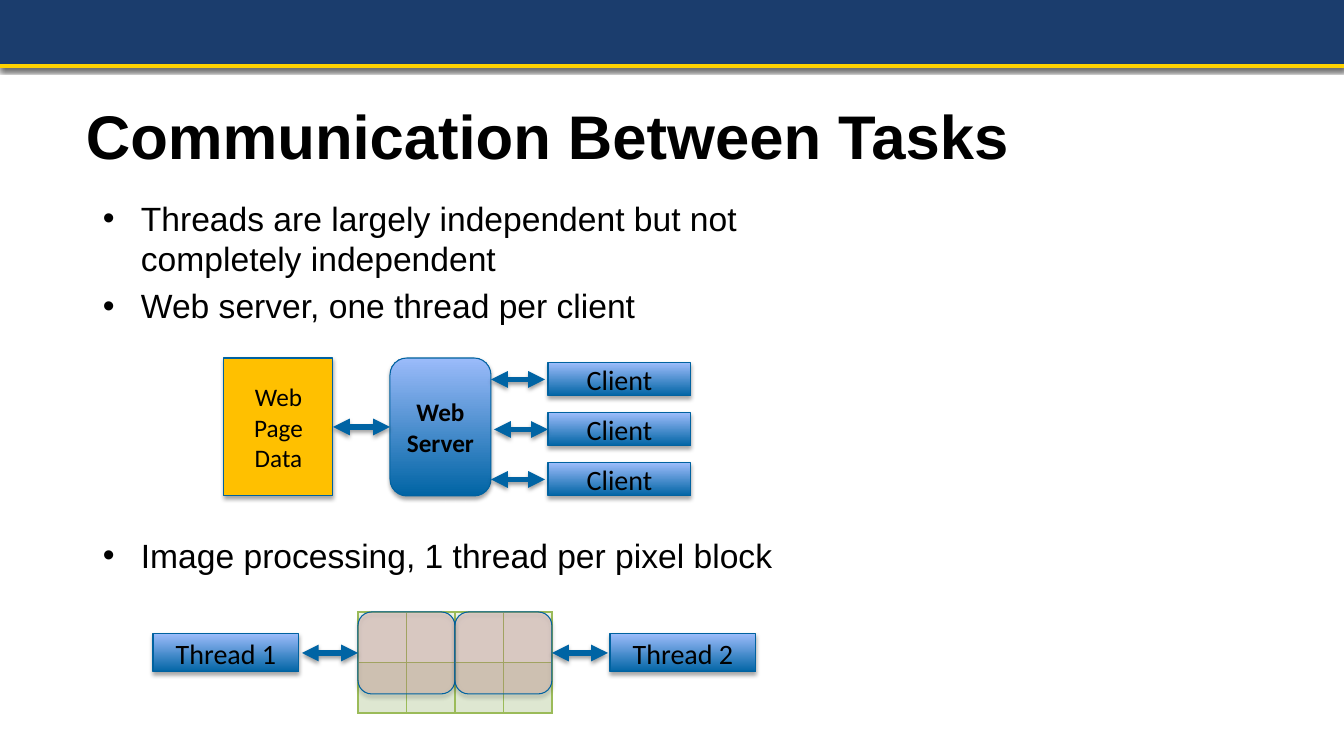
from lxml.etree import SubElement
from pptx import Presentation
from pptx.dml.color import RGBColor
from pptx.enum.shapes import MSO_CONNECTOR, MSO_SHAPE
from pptx.enum.text import MSO_ANCHOR, MSO_AUTO_SIZE, PP_ALIGN
from pptx.oxml.ns import qn
from pptx.util import Emu, Pt

EMU_PER_PX = 914400 / 100.8
NAVY, GOLD, BLUE, LIGHT_BLUE, EDGE = "1B3D6D", "FFD200", "0064A4", "9BBBFA", "0062A0"
AMBER, ROSE, GREEN, BLACK = "FFC000", "D99694", "9BBB59", "000000"
ROW_FILLS = ("EFF3EA", "DEE7D1")


def px(length):
    return Emu(round(length * EMU_PER_PX))


def color(value):
    return RGBColor.from_string(value)


def child(parent, tag, **attributes):
    return SubElement(parent, qn(tag), {key: str(val) for key, val in attributes.items()})


def add_shadow(effects, opacity):
    shadow = child(effects, "a:outerShdw", blurRad=Pt(3.1), dist=Pt(1.8),
                   dir=5400000, rotWithShape=0)
    child(child(shadow, "a:srgbClr", val=BLACK), "a:alpha", val=opacity * 1000)


def add_run(paragraph, text, size, font, bold=False):
    run = paragraph.add_run()
    run.text = text
    run.font.size, run.font.name, run.font.bold = Pt(size), font, bold
    run.font.color.rgb = color(BLACK)


def add_block(shapes, box, fill=None, text="", size=20, bold=False, rounded=False,
              opacity=100, edge=EDGE, shade=35):
    """Shadowed block; without a fill colour it gets the blue gradient."""
    kind = MSO_SHAPE.ROUNDED_RECTANGLE if rounded else MSO_SHAPE.RECTANGLE
    block = shapes.add_shape(kind, *map(px, box))
    if fill:
        block.fill.solid()
        block.fill.fore_color.rgb = color(fill)
        if opacity < 100:
            tint = block.fill._xPr.find(qn("a:solidFill"))[0]
            child(tint, "a:alpha", val=opacity * 1000)
    else:
        block.fill.gradient()
        block.fill.gradient_angle = 90
        for stop, tone in zip(block.fill.gradient_stops, (BLUE, LIGHT_BLUE)):
            stop.color.rgb = color(tone)
    if edge:
        block.line.color.rgb = color(edge)
        block.line.width = Pt(0.75)
    else:
        block.line.fill.background()
    block.shadow.inherit = False
    add_shadow(block._element.spPr.find(qn("a:effectLst")), shade)
    if text:
        frame = block.text_frame
        frame.word_wrap = True
        frame.vertical_anchor = MSO_ANCHOR.MIDDLE
        frame.paragraphs[0].alignment = PP_ALIGN.CENTER
        add_run(frame.paragraphs[0], text, size, "Calibri", bold)


def add_rule(shapes, left, right, y, tone, width, arrow=False):
    """Horizontal line, or a shadowed two-way arrow."""
    rule = shapes.add_connector(MSO_CONNECTOR.STRAIGHT, px(left), px(y), px(right), px(y))
    rule.line.color.rgb = color(tone)
    rule.line.width = Pt(width)
    effects = child(rule._element.spPr, "a:effectLst")
    if arrow:
        outline = rule.line._get_or_add_ln()
        child(outline, "a:headEnd", type="triangle")
        child(outline, "a:tailEnd", type="triangle")
        add_shadow(effects, 38)


def add_arrow(shapes, left, right, y):
    add_rule(shapes, left, right, y, BLUE, 4, arrow=True)


def text_box(shapes, box, wrap):
    frame = shapes.add_textbox(*map(px, box)).text_frame
    frame.word_wrap = wrap
    frame.auto_size = MSO_AUTO_SIZE.SHAPE_TO_FIT_TEXT
    return frame


def header(shapes, box):
    left, top, width, height = box
    add_block(shapes, box, NAVY, edge=None, shade=58)
    add_rule(shapes, left, left + width, top + height - 2, GOLD, 2.25)


def title(shapes, box, text):
    frame = text_box(shapes, box, False)
    frame.vertical_anchor = MSO_ANCHOR.MIDDLE
    add_run(frame.paragraphs[0], text, 44, "Arial", True)


def bullets(shapes, box, points, wrap=True):
    frame = text_box(shapes, box, wrap)
    for index, point in enumerate(points):
        paragraph = frame.add_paragraph() if index else frame.paragraphs[0]
        if index:
            paragraph.space_before = Pt(4.8)
        properties = paragraph._p.get_or_add_pPr()
        properties.set("marL", str(px(38)))
        properties.set("indent", str(-px(38)))
        child(properties, "a:buFont", typeface="Arial")
        child(properties, "a:buChar", char="•")
        add_run(paragraph, point, 24, "Arial")


def web_server(shapes, box):
    left, top, width, height = box
    diagram = shapes.add_group_shape().shapes
    data_width, server_left, server_width = 109, 166, 101
    client_width, client_height, pitch = 143, 33, 50
    server_right = left + server_left + server_width
    add_block(diagram, (left, top, data_width, height), AMBER, "Web Page Data", 18)
    add_block(diagram, (left + server_left, top, server_width, height),
              text="Web Server", size=18, bold=True, rounded=True)
    add_arrow(diagram, left + data_width, left + server_left, top + height / 2)
    # Clients, the middle arrow set slightly to the right
    for index, shift in enumerate((0, 3, 0)):
        client_top = top + 5 + index * pitch
        add_block(diagram, (left + width - client_width, client_top,
                            client_width, client_height), text="Client")
        add_arrow(diagram, server_right + shift, server_right + 54 + shift,
                  client_top + client_height / 2)


def pixel_grid(shapes, box):
    left, top, width, height = box
    columns, rows = 4, len(ROW_FILLS)
    grid = shapes.add_table(rows, columns, *map(px, box)).table
    for column in grid.columns:
        column.width = px(width / columns)
    for row, fill in zip(grid.rows, ROW_FILLS):
        row.height = px(height / rows)
        for cell in row.cells:
            properties = cell._tc.get_or_add_tcPr()
            for side in ("a:lnL", "a:lnR", "a:lnT", "a:lnB"):
                border = child(properties, side, w=Pt(1))
                child(child(border, "a:solidFill"), "a:srgbClr", val=GREEN)
            cell.fill.solid()
            cell.fill.fore_color.rgb = color(fill)


def image_processing(shapes, box):
    left, top, width, height = box
    label_width, label_height, arrow_length = 146, 38, 56
    grid_left, block_width, block_height = left + 205, 97, 82
    grid_width = 2 * block_width
    pixel_grid(shapes, (grid_left, top, grid_width, height))
    for index in range(2):
        add_block(shapes, (grid_left + index * block_width, top, block_width, block_height),
                  ROSE, rounded=True, opacity=28)
    for name, label_left, arrow_left in (
            ("Thread 1", left, grid_left - arrow_length),
            ("Thread 2", left + width - label_width, grid_left + grid_width)):
        add_block(shapes, (label_left, top + 22, label_width, label_height), text=name)
        add_arrow(shapes, arrow_left, arrow_left + arrow_length, top + 41)


deck = Presentation()
deck.slide_width, deck.slide_height = px(1344), px(756)
parts = deck.slides.add_slide(deck.slide_layouts[6]).shapes

header(parts, (0, 0, 1344, 68))
title(parts, (76, 92, 953, 85), "Communication Between Tasks")
bullets(parts, (93, 193, 720, 140),
        ["Threads are largely independent but not completely independent",
         "Web server, one thread per client"])
web_server(parts, (224, 358, 467, 138))
image_processing(parts, (153, 612, 603, 101))
bullets(parts, (93, 530, 697, 50), ["Image processing, 1 thread per pixel block"], wrap=False)

deck.save("out.pptx")
